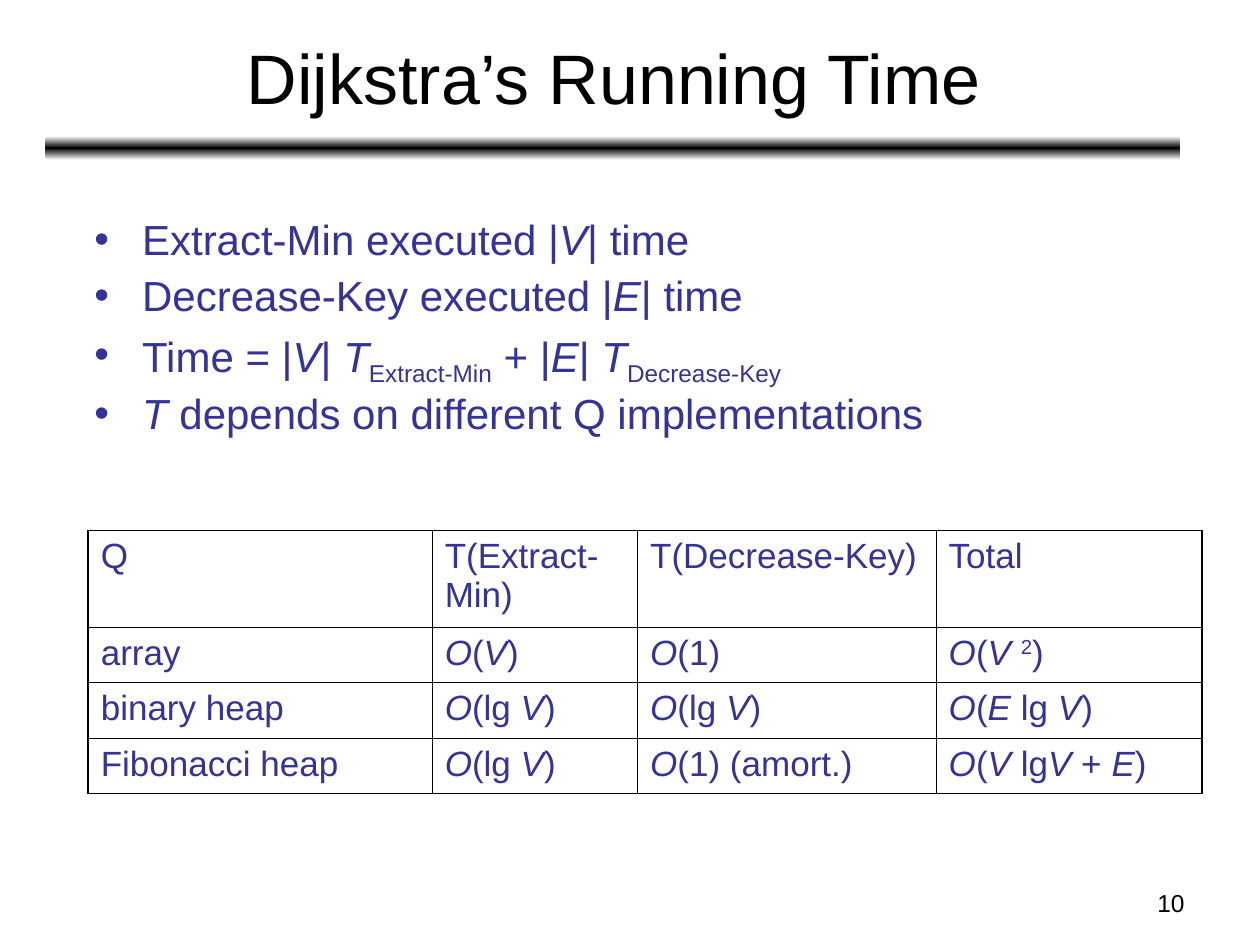
"""Build the slide on the running time of Dijkstra's algorithm."""
from copy import deepcopy
from dataclasses import dataclass

from lxml.etree import SubElement
from pptx import Presentation
from pptx.dml.color import RGBColor
from pptx.enum.shapes import MSO_SHAPE
from pptx.enum.text import MSO_ANCHOR, PP_ALIGN
from pptx.oxml.ns import qn
from pptx.util import Inches, Pt


@dataclass(frozen=True)
class Theme:
    """Colours, font and type sizes of the slide."""
    black: str = "000000"
    white: str = "FFFFFF"
    blue: str = "333399"
    font: str = "Arial"
    title: int = 40
    body: int = 24
    cell: int = 20
    foot: int = 14
    thin: float = 0.45
    thick: float = 1.08


THEME = Theme()
SHIFTS = {"_": "-25000", "^": "30000"}
POINTS = [
    "Extract-Min executed |*V*| time",
    "Decrease-Key executed |*E*| time",
    "Time = |*V*| *T*_Extract-Min_ + |*E*| *T*_Decrease-Key_",
    "*T* depends on different Q implementations",
]
COLS = [2.73, 1.63, 2.37, 2.11]
ROWS = [0.77, 0.44, 0.44, 0.44]
COSTS = [
    ["Q", "T(Extract-Min)", "T(Decrease-Key)", "Total"],
    ["array", "*Ο*(*V*)", "*Ο*(1)", "*Ο*(*V *^2^)"],
    ["binary heap", "*Ο*(lg* V*)", "*Ο*(lg *V*)", "*Ο*(*E* lg *V*)"],
    ["Fibonacci heap", "*Ο*(lg* V*)", "*Ο*(1) (amort.)", "*Ο*(*V* lg*V* + *E*)"],
]


def split(text):
    """Yield each piece of text with its mark: * italic, _ low, ^ high."""
    mark = part = ""
    for char in text:
        if char in "*_^":
            yield part, mark
            part, mark = "", "" if char == mark else char
        else:
            part += char
    yield part, mark


def write(para, text, size, color, align=PP_ALIGN.LEFT, before=0, line=None):
    """Fill a paragraph with marked text in the given format."""
    para.alignment = align
    para.space_before = Pt(before)
    para.line_spacing = line
    for part, mark in split(text):
        if not part:
            continue
        run = para.add_run()
        run.text = part
        font = run.font
        font.name, font.size = THEME.font, Pt(size)
        font.bold, font.italic = False, mark == "*"
        font.color.rgb = RGBColor.from_string(color)
        if mark in SHIFTS:
            font._element.set("baseline", SHIFTS[mark])


def add_box(slide, left, top, width, height, anchor=MSO_ANCHOR.TOP):
    """Add a wrapping text box and return its frame."""
    box = slide.shapes.add_textbox(*map(Inches, (left, top, width, height)))
    frame = box.text_frame
    frame.word_wrap = True
    frame.vertical_anchor = anchor
    return frame


def add_rule(slide):
    """Add the bar that fades from black to white above and below."""
    place = map(Inches, (0.36, 1.08, 9.01, 0.19))
    bar = slide.shapes.add_shape(MSO_SHAPE.ROUNDED_RECTANGLE, *place)
    bar.shadow.inherit = False
    bar.line.fill.background()
    bar.fill.gradient()
    bar.fill.gradient_angle = 270
    stops = bar._element.spPr.find(".//" + qn("a:gsLst"))
    stops.insert(1, deepcopy(stops[0]))
    shades = [THEME.white, THEME.black, THEME.white]
    for num, (stop, shade) in enumerate(zip(bar.fill.gradient_stops, shades)):
        stop.position = num / 2
        stop.color.rgb = RGBColor.from_string(shade)


def add_points(slide):
    """Add the bulleted list."""
    frame = add_box(slide, 0.65, 1.69, 9.14, 1.91)
    for num, text in enumerate(POINTS):
        para = frame.add_paragraph() if num else frame.paragraphs[0]
        write(para, text, THEME.body, THEME.blue, before=6, line=0.9)
        props = para._p.get_or_add_pPr()
        props.set("marL", str(Inches(0.38)))
        props.set("indent", str(Inches(-0.38)))
        tint = SubElement(props, qn("a:buClr"))
        SubElement(tint, qn("a:srgbClr"), val=THEME.blue)
        SubElement(props, qn("a:buFont"), typeface=THEME.font)
        SubElement(props, qn("a:buChar"), char="•")


def add_edge(cell, side, width):
    """Draw one border of a cell."""
    props = cell._tc.get_or_add_tcPr()
    line = SubElement(props, qn("a:ln" + side), w=str(Pt(width)))
    fill = SubElement(line, qn("a:solidFill"))
    SubElement(fill, qn("a:srgbClr"), val=THEME.black)


def add_costs(slide):
    """Add the table of costs with a thicker outer frame."""
    place = map(Inches, (0.7, 4.21, sum(COLS), sum(ROWS)))
    table = slide.shapes.add_table(len(ROWS), len(COLS), *place).table
    table.first_row = table.horz_banding = False
    for col, width in zip(table.columns, COLS):
        col.width = Inches(width)
    for row, height in zip(table.rows, ROWS):
        row.height = Inches(height)
    for y, line in enumerate(COSTS):
        for x, text in enumerate(line):
            cell = table.cell(y, x)
            write(cell.text_frame.paragraphs[0], text, THEME.cell, THEME.blue,
                  before=5)
            outer = {"L": x == 0, "R": x == len(COLS) - 1,
                     "T": y == 0, "B": y == len(ROWS) - 1}
            for side, edge in outer.items():
                add_edge(cell, side, THEME.thick if edge else THEME.thin)
            cell.fill.background()


def main():
    """Build and save the slide."""
    deck = Presentation()
    deck.slide_width, deck.slide_height = Inches(10), Inches(7.5)
    slide = deck.slides.add_slide(deck.slide_layouts[6])
    add_rule(slide)
    foot = add_box(slide, 7.17, 7, 2.33, 0.35)
    write(foot.paragraphs[0], "10", THEME.foot, THEME.black,
          align=PP_ALIGN.RIGHT)
    head = add_box(slide, 0.37, 0.11, 9, 0.99, anchor=MSO_ANCHOR.MIDDLE)
    write(head.paragraphs[0], "Dijkstra’s Running Time", THEME.title,
          THEME.black, align=PP_ALIGN.CENTER)
    add_points(slide)
    add_costs(slide)
    deck.save("out.pptx")


if __name__ == "__main__":
    main()
